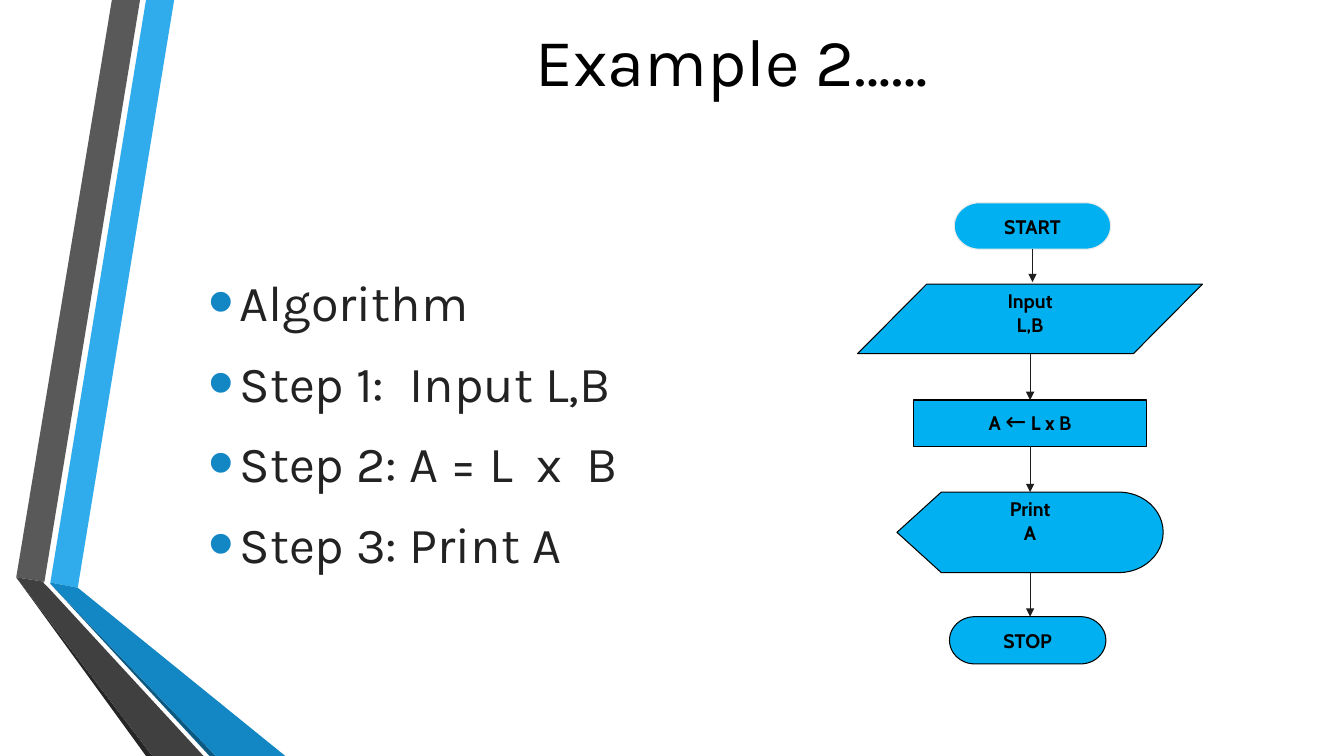
import pptx
import pptx.util
import pptx.dml.color
import pptx.enum.shapes
import pptx.enum.text
import pptx.oxml.ns
import lxml.etree

Cm = pptx.util.Cm
Pt = pptx.util.Pt
Shape = pptx.enum.shapes.MSO_SHAPE
Align = pptx.enum.text.PP_ALIGN
Anchor = pptx.enum.text.MSO_ANCHOR


def paint(color_format, hex_color):
    color_format.rgb = pptx.dml.color.RGBColor.from_string(hex_color)


def add_xml(parent, tag, **attributes):
    child = lxml.etree.SubElement(parent, pptx.oxml.ns.qn(tag))
    for key, value in attributes.items():
        child.set(key, value)
    return child


deck = pptx.Presentation()
deck.slide_width = Cm(33.87)
deck.slide_height = Cm(19.05)
slide = deck.slides.add_slide(deck.slide_layouts[6])
shapes = slide.shapes

ribbons = [
    ("30ACEC", [(127, 1468), (196, 1481), (439, 0), (368, 0)]),
    ("595959", [(353, 0), (282, 0), (41, 1455), (112, 1466)]),
    ("262626", [(41, 1455), (368, 1905), (384, 1905)]),
    ("0C5A82", [(127, 1471), (528, 1905), (544, 1905)]),
    ("1287C3", [(127, 1468), (127, 1471), (544, 1905), (719, 1905), (196, 1481)]),
    ("404040", [(513, 1905), (122, 1481), (109, 1468), (112, 1466), (41, 1455), (384, 1905)]),
]
for color, corners in ribbons:
    outline = shapes.build_freeform(*corners[0], scale=Cm(0.01))
    outline.add_line_segments(corners[1:], close=True)
    ribbon = outline.convert_to_shape()
    ribbon.shadow.inherit = False
    ribbon.fill.solid()
    paint(ribbon.fill.fore_color, color)
    ribbon.line.fill.background()

title = shapes.add_textbox(Cm(4.52), Cm(0.53), Cm(27.84), Cm(1.93)).text_frame
title.word_wrap = True
title.vertical_anchor = Anchor.MIDDLE
heading = title.paragraphs[0]
heading.text = "Example 2……"
heading.alignment = Align.CENTER
heading.font.name = "Karla"
heading.font.size = Pt(48)
paint(heading.font.color, "000000")

algorithm = shapes.add_textbox(Cm(5), Cm(3.35), Cm(28.6), Cm(14.58)).text_frame
algorithm.word_wrap = True
algorithm.vertical_anchor = Anchor.MIDDLE
algorithm.text = "Algorithm\nStep 1: \tInput L,B\nStep 2: \tA = L  x  B\nStep 3: \tPrint A"
for index, step in enumerate(algorithm.paragraphs):
    step.space_before = Pt(8.4 if index else 0)
    step.space_after = Pt(6)
    properties = step._p.get_or_add_pPr()
    properties.set("marL", str(Cm(0.79)))
    properties.set("indent", str(-Cm(0.79)))
    properties.set("defTabSz", str(Cm(1.27)))
    add_xml(add_xml(properties, "a:buClr"), "a:srgbClr", val="1287C3")
    add_xml(properties, "a:buSzPct", val="145000")
    add_xml(properties, "a:buFont", typeface="Arial")
    add_xml(properties, "a:buChar", char="•")
    step.font.name = "Karla"
    step.font.size = Pt(36)
    paint(step.font.color, "222222")

axis = 25.96
flowchart = [
    (Shape.FLOWCHART_TERMINATOR, 26.02, 5.11, 3.94, 1.17, "E9E9E9", "START"),
    (Shape.FLOWCHART_DATA, axis, 7.16, 8.69, 1.75, "000000", "Input\nL,B"),
    (Shape.FLOWCHART_PROCESS, axis, 10.08, 5.87, 1.17, "000000", "A ← L x B"),
    (Shape.FLOWCHART_DISPLAY, axis, 12.4, 6.71, 2.03, "000000", "Print\nA"),
    (Shape.FLOWCHART_TERMINATOR, 25.9, 15.54, 3.94, 1.19, "000000", "STOP"),
]
nodes = []
for kind, center, top, width, height, border, label in flowchart:
    node = shapes.add_shape(kind, Cm(center - width / 2), Cm(top), Cm(width), Cm(height))
    node.shadow.inherit = False
    node.fill.solid()
    paint(node.fill.fore_color, "00B0F0")
    paint(node.line.color, border)
    node.line.width = Pt(0.75)
    node.text_frame.vertical_anchor = Anchor.TOP
    node.text_frame.text = label
    for line in node.text_frame.paragraphs:
        line.alignment = Align.CENTER
        line.font.name = "Cabin"
        line.font.size = Pt(14)
        line.font.bold = True
        paint(line.font.color, "000000")
    nodes.append(node)
start, read_sides, multiply, show_area, stop = nodes

assignment = multiply.text_frame.paragraphs[0]
assignment.text = ""
for part in ("A ", "←", " L x B"):
    piece = assignment.add_run()
    piece.text = part
    if part == "←":
        piece.font.size = Pt(18)
        piece.font.bold = False

flows = [
    (26.02, 6.28, 7.11, start, None),
    (axis, 8.91, 10.08, None, multiply),
    (axis, 11.25, 12.4, multiply, show_area),
    (axis, 14.43, 15.54, show_area, None),
]
for x, top, bottom, source, target in flows:
    flow = shapes.add_connector(
        pptx.enum.shapes.MSO_CONNECTOR.STRAIGHT, Cm(x), Cm(top), Cm(x), Cm(bottom))
    if source:
        flow.begin_connect(source, 2)
    if target:
        flow.end_connect(target, 0)
    paint(flow.line.color, "1E1E1E")
    flow.line.width = Pt(0.75)
    add_xml(flow.line._get_or_add_ln(), "a:tailEnd", type="triangle")
    add_xml(flow._element.spPr, "a:effectLst")

deck.save("out.pptx")
